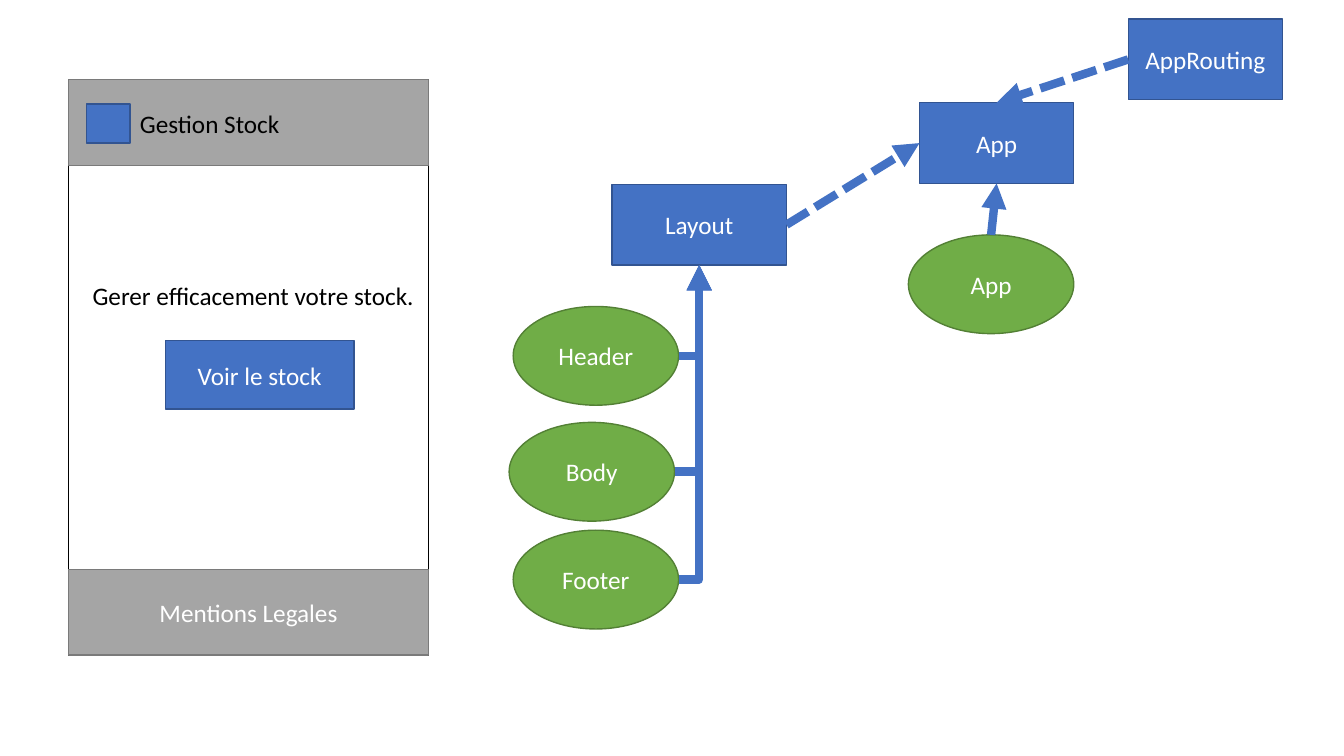
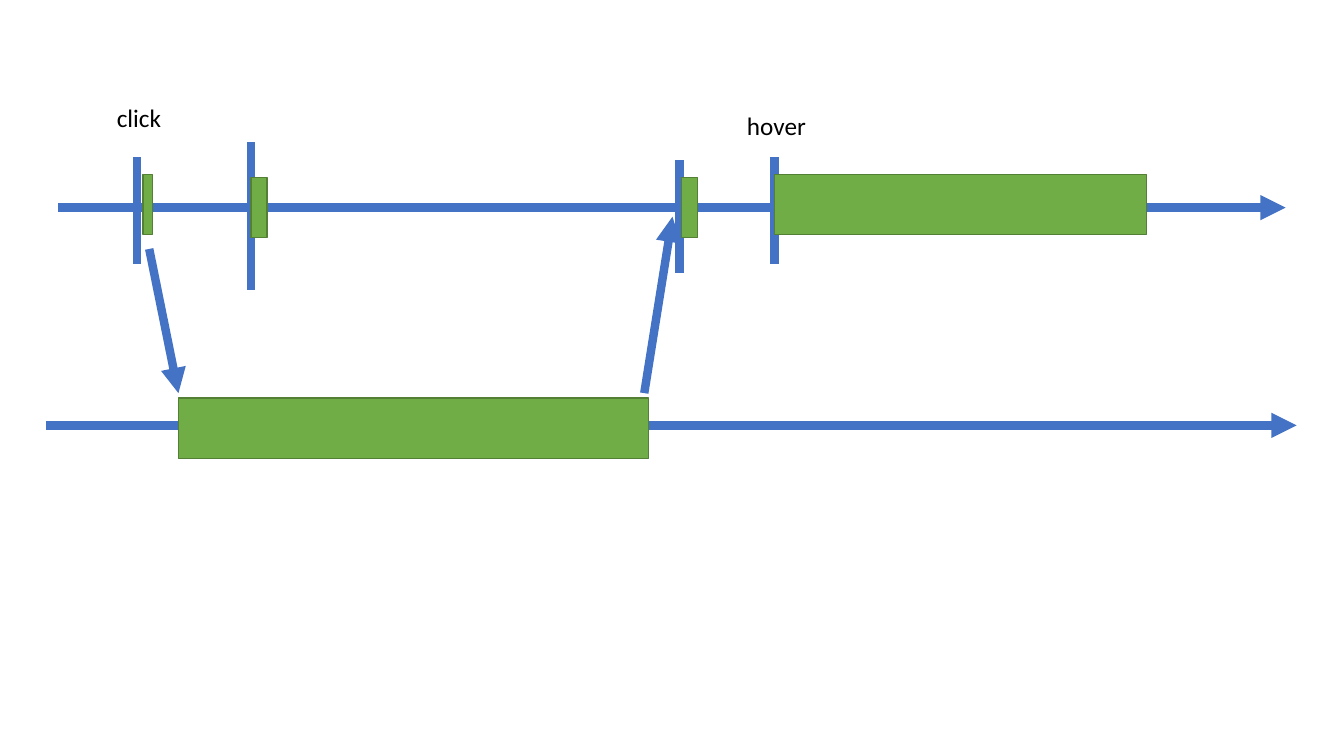
from pptx import Presentation
from pptx.dml.color import RGBColor as RGB
from pptx.enum.shapes import MSO_CONNECTOR as Link, MSO_SHAPE as Form
from pptx.enum.text import MSO_ANCHOR as Anchor, MSO_AUTO_SIZE as Fit, PP_ALIGN as Align
from pptx.oxml.ns import qn
from pptx.util import Inches, Pt
from lxml.etree import SubElement as Sub

COLS, ROWS = 13.33, 7.5
BLUE, GREEN, GRAY = RGB(0x44, 0x72, 0xC4), RGB(0x70, 0xAD, 0x47), RGB(0xA5, 0xA5, 0xA5)
NAVY, MOSS, SLATE = RGB(0x32, 0x54, 0x91), RGB(0x53, 0x80, 0x35), RGB(0x7A, 0x7A, 0x7A)
WHITE, BLACK = RGB(255, 255, 255), RGB(0, 0, 0)

FONT = dict(name="Calibri", size=Pt(18))
STYLES = {
    "page": (Form.RECTANGLE, WHITE, BLACK),
    "band": (Form.RECTANGLE, GRAY, SLATE),
    "module": (Form.RECTANGLE, BLUE, NAVY),
    "part": (Form.OVAL, GREEN, MOSS),
    "task": (Form.RECTANGLE, GREEN, MOSS),
}

PAGE = (0.68, 0.79, 3.57, 5.71)
BAND = 0.85
LOGO = (0.86, 1.03, 0.43, 0.39)
BUTTON = (1.64, 3.38, 1.87, 0.68)
WORDS = [("Gestion Stock", 1.29, 1.03, 1.6),
         ("Gerer efficacement votre stock.", 0.82, 2.73, 3.42)]
MODULES = {"App": (9.12, 1.02, 1.53), "AppRouting": (11.19, 0.19, 1.53),
           "Layout": (6.07, 1.83, 1.73)}
PARTS = [("App", "App", 9.01, 2.33), ("Footer", "Layout", 5.09, 5.26),
         ("Body", "Layout", 5.05, 4.19), ("Header", "Layout", 5.09, 3.04)]
MODULE_H, PART_W, PART_H = 0.8, 1.64, 0.98

AXES = [(0.58, 12.75, 2.06), (0.46, 12.86, 4.22)]
CALLS = [((1.48, 2.47), (1.77, 3.9)), ((6.39, 3.9), (6.67, 2.15))]
TICKS = [(1.36, 1.56, 2.62), (7.68, 1.56, 2.62), (2.49, 1.41, 2.88), (6.74, 1.59, 2.71)]
TASKS = [(1.42, 1.73, 0.09), (7.68, 1.73, 3.69), (2.49, 1.76, 0.16),
         (1.77, 3.95, 4.66), (6.76, 1.76, 0.16)]
EVENTS = [("click", 1.06, 0.97, 0.65), ("hover", 7.31, 1.05, 0.79)]
TASK_H, TEXT_H = 0.6, 0.4

SIDES = {"top": (0.5, 0), "right": (1, 0.5), "bottom": (0.5, 1), "left": (0, 0.5)}


def apply(item, values):
    for name, value in values.items():
        setattr(item, name, value)


def edge(box, side):
    x, y, w, h = box
    across, down = SIDES[side]
    return x + w * across, y + h * down


def write(frame, text, color, align):
    para = frame.paragraphs[0]
    para.alignment = align
    run = para.add_run()
    run.text = text
    apply(run.font, FONT)
    run.font.color.rgb = color


def block(slide, style, box, text=""):
    form, fill, line = STYLES[style]
    shape = slide.shapes.add_shape(form, *map(Inches, box))
    shape.shadow.inherit = False
    shape.fill.solid()
    shape.fill.fore_color.rgb = fill
    shape.line.color.rgb = line
    shape.line.width = Pt(1)
    if text:
        shape.text_frame.vertical_anchor = Anchor.MIDDLE
        write(shape.text_frame, text, WHITE, Align.CENTER)


def label(slide, text, x, y, w):
    frame = slide.shapes.add_textbox(*map(Inches, (x, y, w, TEXT_H))).text_frame
    apply(frame, dict(word_wrap=False, auto_size=Fit.SHAPE_TO_FIT_TEXT))
    write(frame, text, BLACK, Align.LEFT)


def link(slide, start, end, head=True, dash=False, bent=False):
    kind = Link.ELBOW if bent else Link.STRAIGHT
    wire = slide.shapes.add_connector(kind, *map(Inches, start + end))
    wire.line.color.rgb = BLUE
    wire.line.width = Pt(6)
    props = wire._element.spPr
    if bent:
        props.find(qn("a:prstGeom")).set("prst", "bentConnector2")
    line = props.find(qn("a:ln"))
    if dash:
        Sub(line, qn("a:prstDash"), val="sysDash")
    if head:
        Sub(line, qn("a:tailEnd"), type="triangle")
    Sub(props, qn("a:effectLst"))


def mockup(slide):
    x, y, w, h = PAGE
    block(slide, "page", PAGE)
    block(slide, "band", (x, y, w, BAND))
    block(slide, "band", (x, y + h - BAND, w, BAND), "Mentions Legales")
    block(slide, "module", LOGO)
    block(slide, "module", BUTTON, "Voir le stock")
    for words in WORDS:
        label(slide, *words)


def tree(slide):
    boxes = {name: (*spot, MODULE_H) for name, spot in MODULES.items()}
    for name, box in boxes.items():
        block(slide, "module", box, name)
    for source, out, into in (("AppRouting", "left", "top"), ("Layout", "right", "left")):
        link(slide, edge(boxes[source], out), edge(boxes["App"], into), dash=True)
    for name, owner, x, y in PARTS:
        box = (x, y, PART_W, PART_H)
        block(slide, "part", box, name)
        bent = owner == "Layout"
        link(slide, edge(box, "right" if bent else "top"),
             edge(boxes[owner], "bottom"), bent=bent)


def timeline(slide):
    for left, right, y in AXES:
        link(slide, (left, y), (right, y))
    for start, end in CALLS:
        link(slide, start, end)
    for x, top, bottom in TICKS:
        link(slide, (x, top), (x, bottom), head=False)
    for task in TASKS:
        block(slide, "task", (*task, TASK_H))
    for event in EVENTS:
        label(slide, *event)


deck = Presentation()
apply(deck, dict(slide_width=Inches(COLS), slide_height=Inches(ROWS)))
for draws in ((mockup, tree), (timeline,)):
    slide = deck.slides.add_slide(deck.slide_layouts[6])
    for draw in draws:
        draw(slide)
deck.save("out.pptx")
